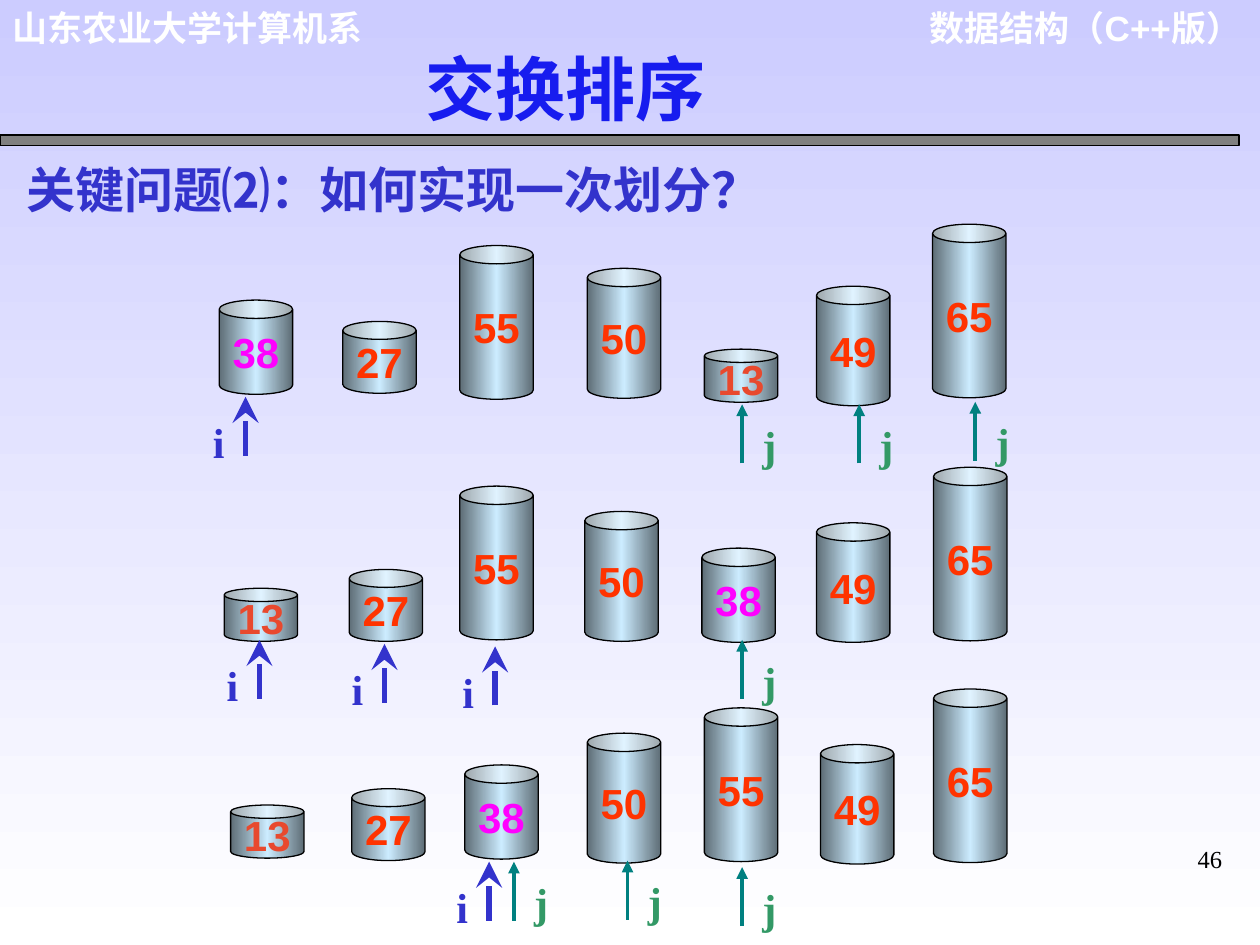
from copy import deepcopy

from lxml import etree
from pptx import Presentation
from pptx.dml.color import RGBColor
from pptx.enum.shapes import MSO_CONNECTOR, MSO_SHAPE
from pptx.enum.text import MSO_ANCHOR, PP_ALIGN
from pptx.oxml.ns import qn
from pptx.util import Cm, Pt

LEFT, CENTER, RIGHT = PP_ALIGN.LEFT, PP_ALIGN.CENTER, PP_ALIGN.RIGHT
MIDDLE = MSO_ANCHOR.MIDDLE
CAN, RECT, STRAIGHT = MSO_SHAPE.CAN, MSO_SHAPE.RECTANGLE, MSO_CONNECTOR.STRAIGHT

WHITE = RGBColor(0xFF, 0xFF, 0xFF)
BLACK = RGBColor(0x00, 0x00, 0x00)
GRAY = RGBColor(0x80, 0x80, 0x80)
LAVENDER = RGBColor(0xCC, 0xCC, 0xFF)
STEEL = RGBColor(0x5E, 0x6D, 0x76)
ICE = RGBColor(0xCC, 0xEC, 0xFF)
ORANGE = RGBColor(0xFF, 0x33, 0x00)
BRICK = RGBColor(0xE8, 0x49, 0x2E)
MAGENTA = RGBColor(0xFF, 0x00, 0xFF)
TITLE_BLUE = RGBColor(0x17, 0x1C, 0xEF)
INDIGO = RGBColor(0x33, 0x33, 0xCC)
TEAL = RGBColor(0x00, 0x80, 0x80)
GREEN = RGBColor(0x33, 0x99, 0x66)

SANS, SERIF, CJK = "Arial", "Times New Roman", "Noto Sans CJK SC"

CAN_WIDTH = 1.48
CAN_HEIGHTS = {13: 1.07, 27: 1.45, 38: 1.9, 49: 2.41, 50: 2.62, 55: 3.1, 65: 3.5}
CAN_COLORS = {13: BRICK, 38: MAGENTA}
ROWS = [
    [(38, 4.42, 6.05), (27, 6.91, 6.48), (55, 9.27, 4.95), (50, 11.84, 5.41),
     (13, 14.2, 7.04), (49, 16.46, 5.77), (65, 18.8, 4.52)],
    [(13, 4.52, 11.86), (27, 7.04, 11.48), (55, 9.27, 9.8), (50, 11.79, 10.31),
     (38, 14.15, 11.05), (49, 16.46, 10.54), (65, 18.82, 9.42)],
    [(13, 4.65, 16.23), (27, 7.09, 15.9), (38, 9.37, 15.42), (50, 11.84, 14.78),
     (55, 14.2, 14.27), (49, 16.54, 15.01), (65, 18.82, 13.89)],
]
ARROW_LENGTH = 1.19
I_TIPS = [(4.95, 8), (5.23, 12.9), (7.75, 12.98), (9.98, 13.03), (9.86, 17.37)]
J_TIPS = [(19.66, 8.1), (17.32, 8.15), (14.96, 8.15), (14.96, 12.9),
          (12.65, 17.35), (10.36, 17.37), (14.96, 17.48)]


class SlideBuilder:
    def __init__(self, s):
        self.s = s

    def font(self, font, size, color, name, bold=True):
        font.size, font.bold, font.name = Pt(size), bold, name
        font.color.rgb = color
        etree.SubElement(font._element, qn("a:ea"), typeface=CJK)

    def background(self, top, bottom):
        fill = self.s.background.fill
        fill.gradient()
        fill.gradient_angle = 270
        for stop, color in zip(fill.gradient_stops, (top, bottom)):
            stop.color.rgb = color

    def text(self, x, y, w, h, text, size, color, name=SANS, bold=True, align=LEFT):
        tf = self.s.shapes.add_textbox(Cm(x), Cm(y), Cm(w), Cm(h)).text_frame
        tf.word_wrap = True
        p = tf.paragraphs[0]
        p.alignment = align
        r = p.add_run()
        r.text = text
        self.font(p.font, size, color, name, bold)
        return p

    def title(self, x, y, w, h, text):
        p = self.text(x, y, w, h, text, 40, TITLE_BLUE, CJK)
        effects = etree.SubElement(p.runs[0]._r.get_or_add_rPr(), qn("a:effectLst"))
        shadow = etree.SubElement(effects, qn("a:outerShdw"), dist="35921", dir="2700000")
        etree.SubElement(shadow, qn("a:srgbClr"), val=str(GRAY))

    def heading(self, x, y, w, h, parts):
        tf = self.s.shapes.add_textbox(Cm(x), Cm(y), Cm(w), Cm(h)).text_frame
        tf.word_wrap = True
        for text, name in parts:
            r = tf.paragraphs[0].add_run()
            r.text = text
            self.font(r.font, 28, INDIGO, name)

    def shape(self, kind, x, y, w, h):
        sp = self.s.shapes.add_shape(kind, Cm(x), Cm(y), Cm(w), Cm(h))
        sp.shadow.inherit = False
        sp.line.color.rgb = BLACK
        sp.line.width = Pt(0.75)
        return sp

    def bar(self, x, y, w, h):
        sp = self.shape(RECT, x, y, w, h)
        sp.fill.solid()
        sp.fill.fore_color.rgb = GRAY

    def can(self, value, x, y):
        sp = self.shape(CAN, x, y, CAN_WIDTH, CAN_HEIGHTS[value])
        sp.fill.gradient()
        sp.fill.gradient_angle = 0
        first, last = sp.fill.gradient_stops
        last.color.rgb = STEEL
        first.color.rgb = ICE
        stops = sp._element.spPr.find(".//" + qn("a:gsLst"))
        middle = deepcopy(stops[0])
        middle.set("pos", "50000")
        stops.insert(1, middle)
        first.color.rgb = STEEL
        tf = sp.text_frame
        tf.word_wrap = False
        tf.vertical_anchor = MIDDLE
        p = tf.paragraphs[0]
        p.text = str(value)
        p.alignment = CENTER
        self.font(p.font, 24, CAN_COLORS.get(value, ORANGE), SANS)

    def arrow(self, x, tip, color, width, head, size):
        c = self.s.shapes.add_connector(
            STRAIGHT, Cm(x), Cm(tip + ARROW_LENGTH), Cm(x), Cm(tip))
        c.line.color.rgb = color
        c.line.width = Pt(width)
        etree.SubElement(c.line._get_or_add_ln(), qn("a:tailEnd"),
                         type=head, w=size, len=size)
        etree.SubElement(c._element.spPr, qn("a:effectLst"))

    def i_pointer(self, x, tip):
        self.arrow(x, tip, INDIGO, 3, "stealth", "lg")
        self.text(x - 0.91, tip + 0.28, 0.64, 1.27, "i", 24, INDIGO, SERIF)

    def j_pointer(self, x, tip):
        self.arrow(x, tip, TEAL, 2.25, "triangle", "med")
        self.text(x + 0.16, tip + 0.18, 0.64, 1.27, "j", 24, GREEN, SERIF)


def main():
    prs = Presentation()
    prs.slide_width, prs.slide_height = Cm(25.4), Cm(19.05)
    b = SlideBuilder(prs.slides.add_slide(prs.slide_layouts[6]))
    b.background(LAVENDER, WHITE)
    b.text(18.39, 0, 6.88, 1.96, "数据结构（C++版）", 20, WHITE, align=RIGHT)
    b.text(0, 0, 9.7, 1.12, "山东农业大学计算机系", 20, WHITE)
    b.bar(0, 2.72, 24.98, 0.21)
    b.text(18.95, 16.89, 5.94, 1.27, "46", 14, BLACK, SERIF, False, RIGHT)
    for row in ROWS:
        for value, x, y in row:
            b.can(value, x, y)
    b.title(8.33, 0.79, 8.05, 1.96, "交换排序")
    b.heading(0.28, 3.1, 21.03, 1.45,
              [("关键问题⑵：", CJK), ("如何实现一次划分？", SANS)])
    for x, tip in I_TIPS:
        b.i_pointer(x, tip)
    for x, tip in J_TIPS:
        b.j_pointer(x, tip)
    prs.save("out.pptx")


if __name__ == "__main__":
    main()
